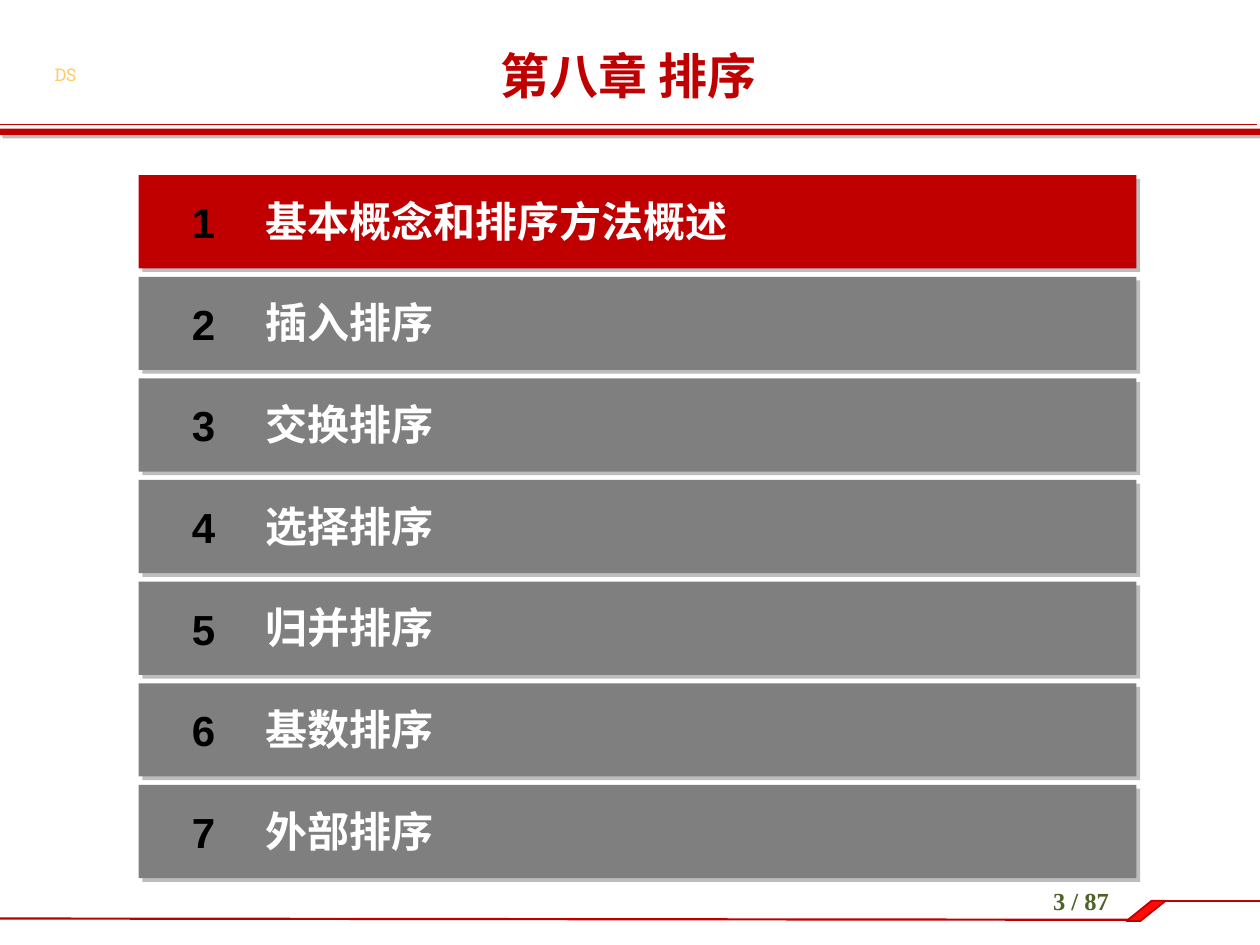
from lxml.etree import SubElement
from pptx import Presentation
from pptx.dml.color import RGBColor
from pptx.enum.shapes import MSO_CONNECTOR, MSO_SHAPE
from pptx.enum.text import MSO_ANCHOR, PP_ALIGN, MSO_AUTO_SIZE
from pptx.oxml.ns import qn
from pptx.util import Inches, Pt

RED = "C00000"
GRAY = "7F7F7F"
CJK_FONT = "Noto Sans CJK SC"
SECTIONS = ["基本概念和排序方法概述", "插入排序", "交换排序", "选择排序",
            "归并排序", "基数排序", "外部排序"]
CURRENT_SECTION = 1
FIRST_TOP, LAST_TOP = 1.39, 6.23


def rgb(value):
    return RGBColor.from_string(value)


def write(frame, text, size, font, color, bold=True, align=PP_ALIGN.CENTER):
    paragraph = frame.paragraphs[0]
    paragraph.alignment = align
    run = paragraph.add_run()
    run.text = text
    run.font.size = Pt(size)
    run.font.name = font
    run.font.bold = bold
    run.font.color.rgb = rgb(color)
    SubElement(run.font._element, qn("a:ea"), typeface=CJK_FONT)


def add_label(shapes, box, *text_style, grow=True, **options):
    frame = shapes.add_textbox(*map(Inches, box)).text_frame
    frame.word_wrap = True
    if grow:
        frame.auto_size = MSO_AUTO_SIZE.SHAPE_TO_FIT_TEXT
    write(frame, *text_style, **options)


def add_block(shapes, kind, box, color):
    block = shapes.add_shape(kind, *map(Inches, box))
    block.shadow.inherit = False
    block.fill.solid()
    block.fill.fore_color.rgb = rgb(color)
    block.line.fill.background()
    return block


def add_bar(shapes, box, color):
    bar = add_block(shapes, MSO_SHAPE.RECTANGLE, box, color)
    effects = bar._element.spPr.find(qn("a:effectLst"))
    shadow = SubElement(effects, qn("a:outerShdw"), blurRad="0", dist=str(Pt(3)),
                        dir="2700000", algn="tl", rotWithShape="0")
    black = SubElement(shadow, qn("a:srgbClr"), val="000000")
    SubElement(black, qn("a:alpha"), val="26000")


def add_rule(shapes, start, end, width):
    rule = shapes.add_connector(MSO_CONNECTOR.STRAIGHT, *map(Inches, start + end))
    rule.line.color.rgb = rgb(RED)
    rule.line.width = Pt(width)
    SubElement(rule._element.spPr, qn("a:effectLst"))


def add_header(slide):
    add_rule(slide.shapes, (0, 0.99), (9.98, 0.99), 0.25)
    add_bar(slide.shapes, (-0.01, 1.02, 10.01, 0.05), RED)
    add_label(slide.shapes, (0.25, 0.46, 0.54, 0.27), "DS", 10, "Roboto Slab",
              "FFCC66", bold=False)
    title = slide.shapes.title
    title.left, title.top, title.width, title.height = map(
        Inches, (0.81, 0.28, 8.36, 0.63))
    title.text_frame.vertical_anchor = MSO_ANCHOR.MIDDLE
    write(title.text_frame, "第八章 排序", 28, "Times New Roman", RED)


def add_footer(slide):
    add_label(slide.shapes, (7.95, 6.98, 1.26, 0.4), "3 / 87", 14,
              "Times New Roman", "4F6228", grow=False)
    shapes = slide.shapes.add_group_shape().shapes
    add_rule(shapes, (0, 7.29), (8.96, 7.3), 1.25)
    add_rule(shapes, (9.17, 7.15), (10, 7.15), 1.5)
    step = add_block(shapes, MSO_SHAPE.PARALLELOGRAM, (8.94, 7.15, 0.31, 0.16), "FF0909")
    step.adjustments[0] = 1.24
    step.line.color.rgb = rgb(RED)
    step.line.width = Pt(1)


def add_section(slide, number, name, top):
    shapes = slide.shapes.add_group_shape().shapes
    color = RED if number == CURRENT_SECTION else GRAY
    add_bar(shapes, (1.1, top, 7.92, 0.74), color)
    add_label(shapes, (2.01, top + 0.11, 7.01, 0.5), name, 24, CJK_FONT, "FFFFFF",
              align=PP_ALIGN.LEFT)
    add_label(shapes, (1.3, top + 0.12, 0.63, 0.51), str(number), 24, "Arial", "000000")


def main():
    deck = Presentation()
    deck.slide_width, deck.slide_height = Inches(10), Inches(7.5)
    slide = deck.slides.add_slide(deck.slide_layouts[5])
    add_header(slide)
    add_footer(slide)
    pitch = (LAST_TOP - FIRST_TOP) / (len(SECTIONS) - 1)
    for index, name in enumerate(SECTIONS):
        add_section(slide, index + 1, name, FIRST_TOP + index * pitch)
    deck.save("out.pptx")


if __name__ == "__main__":
    main()
